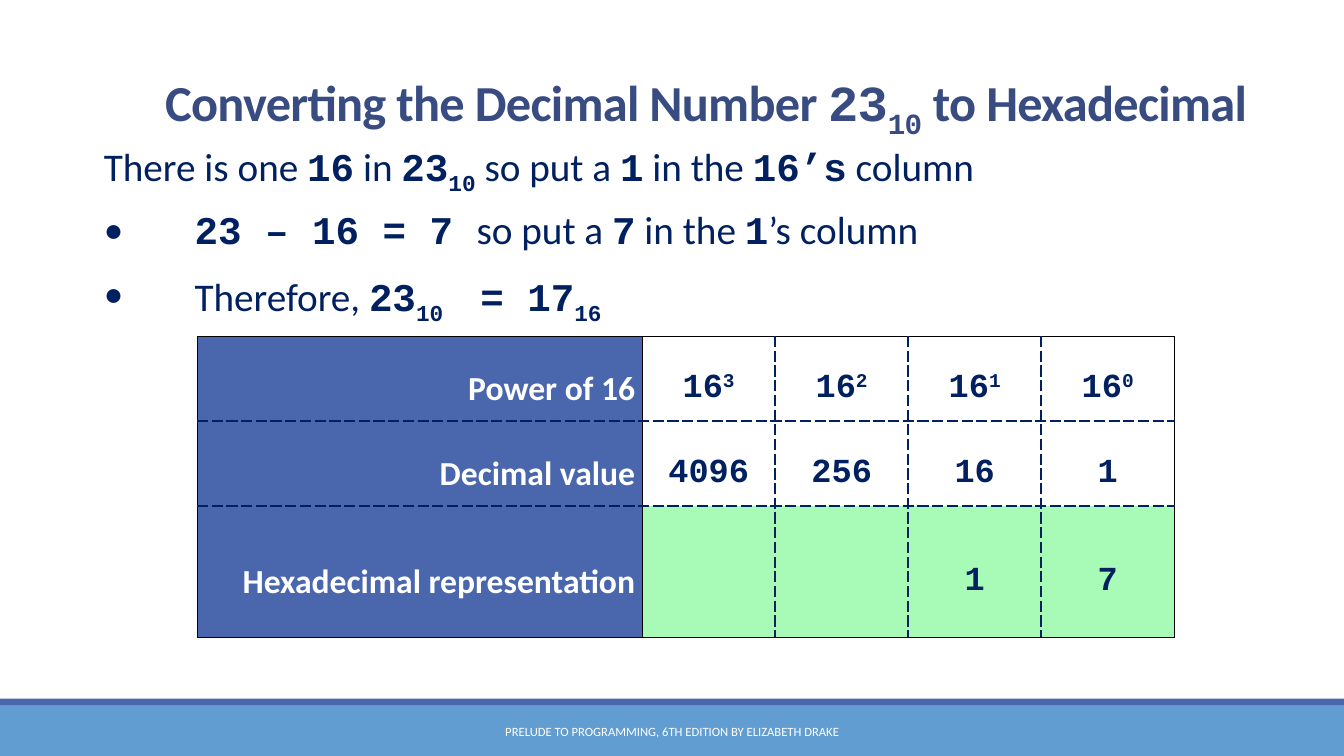
import pptx
import pptx.util
import pptx.dml.color
import pptx.enum.shapes
import pptx.enum.text
import pptx.oxml
import pptx.oxml.ns

ALIGN = pptx.enum.text.PP_ALIGN
ANCHOR = pptx.enum.text.MSO_ANCHOR
NSDECL = pptx.oxml.ns.nsdecls("a")


def color(hex_string):
    return pptx.dml.color.RGBColor.from_string(hex_string)


class Deck:
    """Slide with its style; lengths are percent of the slide's size."""
    navy, blue, sky, title_blue = "002060", "4A66AC", "629DD1", "384C81"
    green, white, black = "A7FBB7", "FFFFFF", "000000"
    sans, mono = "Calibri", "Courier New"

    def __init__(self):
        self.prs = pptx.Presentation()
        self.prs.slide_width = pptx.util.Inches(13.33)
        self.prs.slide_height = pptx.util.Inches(7.5)
        self.slide = self.prs.slides.add_slide(self.prs.slide_layouts[6])

    def x(self, share):
        return round(self.prs.slide_width * share / 100)

    def y(self, share):
        return round(self.prs.slide_height * share / 100)

    def area(self, left, top, width, height):
        return self.x(left), self.y(top), self.x(width), self.y(height)

    def bar(self, top, height, fill):
        bar = self.slide.shapes.add_shape(
            pptx.enum.shapes.MSO_SHAPE.RECTANGLE, *self.area(0, top, 100, height))
        bar.shadow.inherit = False
        bar.fill.solid()
        bar.fill.fore_color.rgb = color(fill)
        bar.line.fill.background()

    def add_runs(self, paragraph, markup, size, ink, bold=None, shift=-25, spacing=0):
        """Between bars: bold monospace; between underscores: shifted baseline."""
        paragraph.font.size = pptx.util.Pt(size)
        paragraph.font.color.rgb = color(ink)
        paragraph.font.bold = bold
        for i, part in enumerate(markup.split("|")):
            for j, piece in enumerate(part.split("_")):
                if not piece:
                    continue
                run = paragraph.add_run()
                run.text = piece
                run.font.name = self.mono if i % 2 else self.sans
                if i % 2:
                    run.font.bold = True
                props = run._r.get_or_add_rPr()
                if j % 2:
                    props.set("baseline", str(shift * 1000))
                if spacing:
                    props.set("spc", str(round(spacing * 100)))

    def text_frame(self, area, anchor, side_inset=0.1):
        frame = self.slide.shapes.add_textbox(*self.area(*area)).text_frame
        frame.word_wrap = True
        frame.vertical_anchor = anchor
        frame.margin_left = frame.margin_right = pptx.util.Inches(side_inset)
        return frame

    def line(self, area, markup, size, ink, anchor, align=ALIGN.LEFT,
             line_spacing=1.0, **style):
        paragraph = self.text_frame(area, anchor).paragraphs[0]
        paragraph.alignment = align
        paragraph.line_spacing = line_spacing
        self.add_runs(paragraph, markup, size, ink, **style)

    def steps(self, area, lead, bullets, size):
        frame = self.text_frame(area, ANCHOR.TOP, side_inset=0)
        for i, markup in enumerate([lead, *bullets]):
            paragraph = frame.add_paragraph() if i else frame.paragraphs[0]
            paragraph.line_spacing = 0.9
            paragraph.space_after = pptx.util.Pt(2)
            if i:
                paragraph.space_before = pptx.util.Pt(12)
            props = paragraph._p.get_or_add_pPr()
            margin, indent = (1, -0.9) if i else (0.1, 0)
            props.set("marL", str(pptx.util.Inches(margin)))
            props.set("indent", str(pptx.util.Inches(indent)))
            if i:
                for xml in (f'<a:buFont {NSDECL} typeface="{self.sans}"/>',
                            f'<a:buChar {NSDECL} char="•"/>'):
                    props.append(pptx.oxml.parse_xml(xml))
            self.add_runs(paragraph, markup, size, self.navy)

    def borders(self, cell, solid_sides):
        props = cell._tc.get_or_add_tcPr()
        for i, side in enumerate("LRTB"):
            solid = side in solid_sides
            width = pptx.util.Pt(1 if solid else 1.5)
            ink = self.black if solid else self.navy
            dash = "solid" if solid else "sysDash"
            props.insert(i, pptx.oxml.parse_xml(
                f'<a:ln{side} {NSDECL} w="{width}"><a:solidFill><a:srgbClr val="{ink}"/>'
                f'</a:solidFill><a:prstDash val="{dash}"/></a:ln{side}>'))

    def place_values(self, left, top, widths, heights, rows, size):
        """Label column on the left, digits on the right, answer in the last row."""
        table = self.slide.shapes.add_table(
            len(heights), len(widths),
            *self.area(left, top, sum(widths), sum(heights))).table
        table.first_row = table.horz_banding = False
        for column, width in zip(table.columns, widths):
            column.width = self.x(width)
        last_row, last_col = len(heights) - 1, len(widths) - 1
        for r, (height, values) in enumerate(zip(heights, rows)):
            table.rows[r].height = self.y(height)
            for c, value in enumerate(values):
                cell = table.cell(r, c)
                cell.vertical_anchor = ANCHOR.MIDDLE
                cell.margin_left = cell.margin_right = pptx.util.Inches(0.07)
                cell.margin_top = cell.margin_bottom = 0
                fill = self.blue if c == 0 else self.green if r == last_row else None
                if fill:
                    cell.fill.solid()
                    cell.fill.fore_color.rgb = color(fill)
                else:
                    cell.fill.background()
                # Solid frame and label divider, dashes elsewhere
                self.borders(cell, ("L" if c <= 1 else "") + ("T" if r == 0 else "")
                             + ("R" if c in (0, last_col) else "")
                             + ("B" if r == last_row else ""))
                paragraph = cell.text_frame.paragraphs[0]
                paragraph.alignment = ALIGN.CENTER if c else ALIGN.RIGHT
                paragraph.line_spacing = 1.5
                self.add_runs(paragraph, f"|{value}|" if c else value, size,
                              self.navy if c else self.white, bold=True, shift=30)


def main():
    deck = Deck()

    # Footer band
    deck.bar(93.33, 6.67, deck.sky)
    deck.bar(92.4, 0.93, deck.blue)
    deck.line((30.23, 94.13, 39.54, 5.33),
              "PRELUDE TO PROGRAMMING, 6TH EDITION BY ELIZABETH DRAKE",
              9, deck.white, ANCHOR.MIDDLE, ALIGN.CENTER)

    # Title
    deck.line((11.55, 5.73, 88.45, 12.53),
              "Converting the Decimal Number |23_10_| to Hexadecimal",
              36, deck.title_blue, ANCHOR.BOTTOM, line_spacing=0.85,
              bold=True, spacing=-0.5)

    # Conversion steps
    deck.steps((6.98, 18.27, 82.5, 67.2),
               "There is one |16| in |23_10_| so put a |1| in the |16’s| column",
               ["|23 – 16 = 7 |so put a |7| in the |1|’s column",
                "Therefore, |23_10 _ = 17_16_|"], 28)

    # Place-value table
    deck.place_values(14.7, 44.53, [33.08] + [9.9] * 4, [11.2, 11.2, 17.4], [
        ["Power of 16"] + [f"16_{power}_" for power in (3, 2, 1, 0)],
        ["Decimal value", "4096", "256", "16", "1"],
        ["Hexadecimal representation", "", "", "1", "7"],
    ], 24)

    deck.prs.save("out.pptx")


if __name__ == "__main__":
    main()
